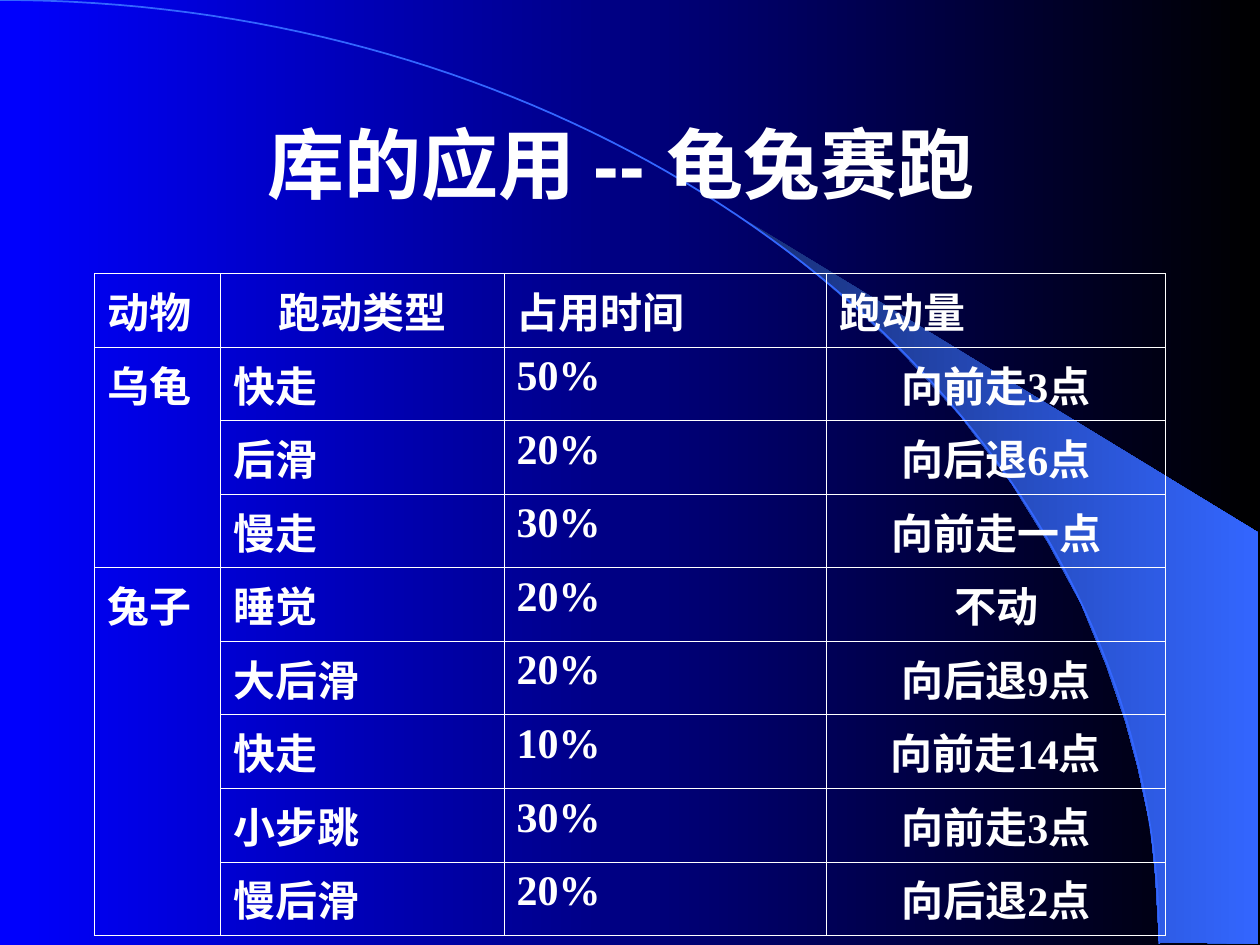
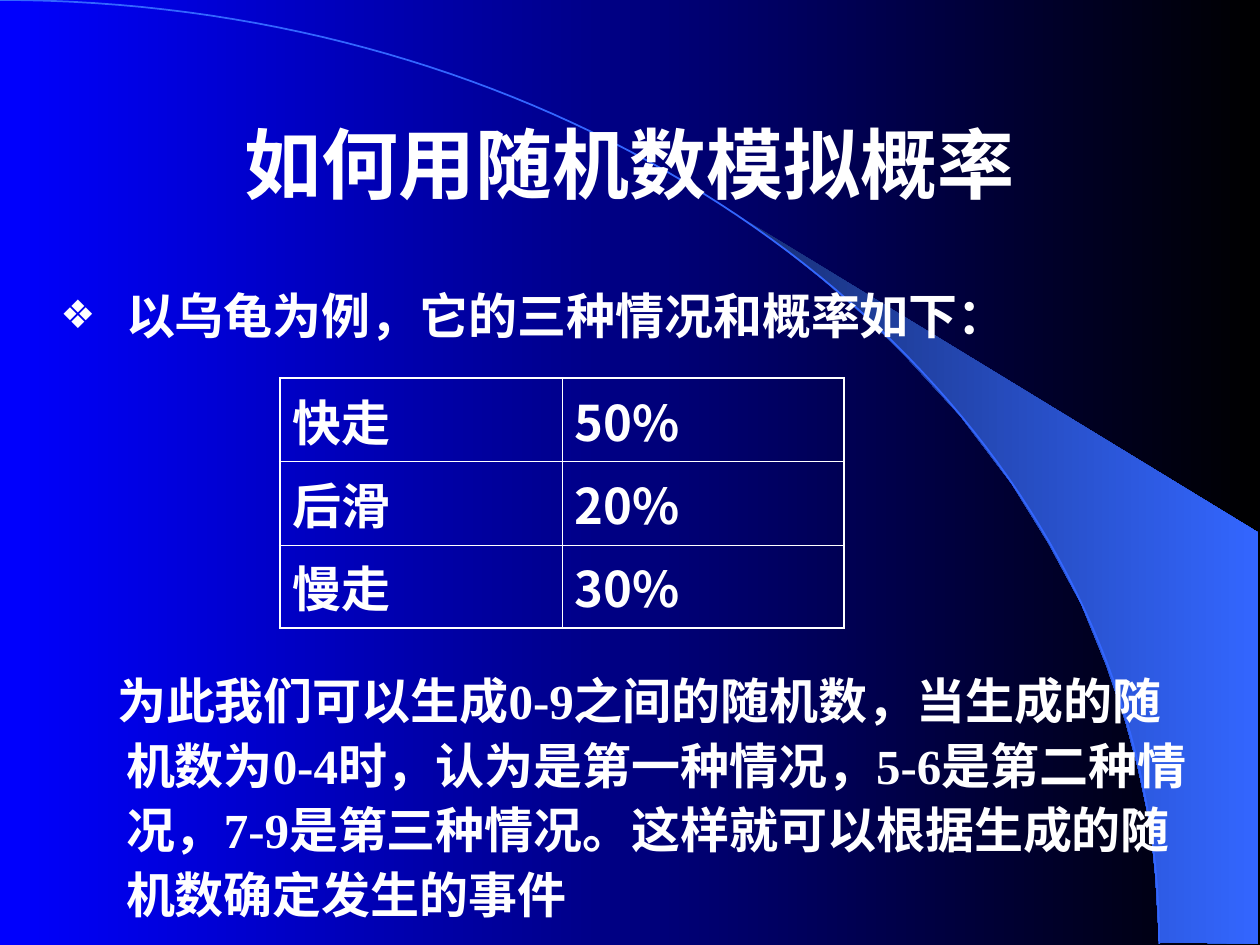
from lxml.etree import SubElement
from pptx import Presentation
from pptx.dml.color import RGBColor
from pptx.enum.text import MSO_ANCHOR, MSO_AUTO_SIZE, PP_ALIGN
from pptx.oxml import parse_xml
from pptx.oxml.ns import nsdecls, qn
from pptx.util import Pt

PX = 9144
WHITE, BLUE, NAVY = "FFFFFF", "3366FF", "182F76"
SKY, NIGHT = "0000FF", "000000"
LATIN, HEAD, ASIAN = "Times New Roman", "Arial", "Noto Sans CJK SC"
THIN, THICK = 0.45, 1.08

WING = [(920, 748), (999, 749), (999, 423), (589, 173), (624, 199),
        (653, 222), (685, 250), (716, 280), (762, 330), (803, 384),
        (832, 431), (858, 479), (878, 528), (893, 572), (903, 609),
        (913, 656), (917, 696), (920, 748)]
ARC = [(0, 0), (508, 0), (920, 335), (920, 749)]
STEPS = 80

RACE = "库的应用 -- 龟兔赛跑 "
HEADS = ("动物", "跑动类型", "占用时间", "跑动量")
MOVES = {
    "乌龟": [("快走", "50%", "向前走3点"),
           ("后滑", "20%", "向后退6点"),
           ("慢走", "30%", "向前走一点")],
    "兔子": [("睡觉", "20%", "不动"),
           ("大后滑", "20%", "向后退9点"),
           ("快走", "10%", "向前走14点"),
           ("小步跳", "30%", "向前走3点"),
           ("慢后滑", "20%", "向后退2点")],
}
ODDS = "如何用随机数模拟概率"
LEAD = "以乌龟为例，它的三种情况和概率如下："
PLAN = ("为此我们可以生成0-9之间的随机数，当生成的随机数为0-4时，"
        "认为是第一种情况，5-6是第二种情况，7-9是第三种情况。"
        "这样就可以根据生成的随机数确定发生的事件")


def tint(code):
    return RGBColor.from_string(code)


def shade(fill, first, last):
    fill.gradient()
    fill.gradient_angle = 0
    for stop, code, at in zip(fill.gradient_stops, (first, last), (0, 1)):
        stop.color.rgb = tint(code)
        stop.position = at


def style(para, size, latin):
    for run in para.runs:
        font = run.font
        font.size, font.bold, font.name = Pt(size), True, latin
        font.color.rgb = tint(WHITE)
        SubElement(font._element, qn("a:ea")).set("typeface", ASIAN)


def place(shape, left, top, width, height):
    shape.left, shape.top = left * PX, top * PX
    shape.width, shape.height = width * PX, height * PX


def trace(slide, dots, close):
    spots = [(round(x * PX), round(y * PX)) for x, y in dots]
    pen = slide.shapes.build_freeform(*spots[0], scale=1.0)
    pen.add_line_segments(spots[1:], close=close)
    shape = pen.convert_to_shape()
    shape.shadow.inherit = False
    return shape


def bend(t):
    parts = ((1 - t) ** 3, 3 * t * (1 - t) ** 2, 3 * t * t * (1 - t), t ** 3)
    return tuple(sum(k * p[axis] for k, p in zip(parts, ARC))
                 for axis in (0, 1))


def dress(master, slide):
    shade(master.background.fill, SKY, NIGHT)
    wing = trace(slide, WING, True)
    shade(wing.fill, NAVY, BLUE)
    wing.line.fill.background()
    arc = trace(slide, [bend(n / STEPS) for n in range(STEPS + 1)], False)
    arc.fill.background()
    arc.line.color.rgb = tint(BLUE)
    arc.line.width = Pt(1)
    for spot, shape in enumerate((wing, arc), 2):
        master.shapes.element.insert(spot, shape.element)


def head(slide, text):
    title = slide.shapes.title
    place(title, 75, 67, 850, 125)
    frame = title.text_frame
    frame.text = text
    frame.auto_size = MSO_AUTO_SIZE.NONE
    frame.vertical_anchor = MSO_ANCHOR.MIDDLE
    para = frame.paragraphs[0]
    para.alignment = PP_ALIGN.CENTER
    style(para, 44, HEAD)


def edge(cell, widths):
    props = cell._tc.get_or_add_tcPr()
    for spot, (side, width) in enumerate(zip("LRTB", widths)):
        props.insert(spot, parse_xml(
            f'<a:ln{side} {nsdecls("a")} w="{Pt(width)}"><a:solidFill>'
            f'<a:srgbClr val="{WHITE}"/></a:solidFill></a:ln{side}>'))


def grid(slide, rows, left, top, cols, tall, size, latin, rim):
    high, wide = len(rows), len(cols)
    table = slide.shapes.add_table(
        high, wide, left * PX, top * PX,
        sum(cols) * PX, high * tall * PX).table
    table.first_row = table.horz_banding = False
    for col, width in zip(table.columns, cols):
        col.width = width * PX
    for r, row in enumerate(rows):
        table.rows[r].height = tall * PX
        for c, text in enumerate(row):
            cell = table.cell(r, c)
            cell.text_frame.text = text
            style(cell.text_frame.paragraphs[0], size, latin)
            cell.fill.background()
            ends = (c == 0, c == wide - 1, r == 0, r == high - 1)
            edge(cell, [rim if end else THIN for end in ends])
    return table


def race(slide):
    head(slide, RACE)
    rows, spans = [HEADS], []
    for name, moves in MOVES.items():
        spans.append((len(rows), len(rows) + len(moves) - 1))
        rows += [("" if n else name, *move) for n, move in enumerate(moves)]
    table = grid(slide, rows, 75, 217, (100, 225, 256, 269), 56,
                 24, LATIN, THIN)
    for first, last in spans:
        table.cell(first, 0).merge(table.cell(last, 0))
    for r in range(len(rows)):
        cell = table.cell(r, 3 if r else 1)
        cell.text_frame.paragraphs[0].alignment = PP_ALIGN.CENTER


def odds(slide):
    head(slide, ODDS)
    body = slide.placeholders[1]
    place(body, 38, 217, 920, 533)
    frame = body.text_frame
    frame.text = LEAD
    frame.auto_size = MSO_AUTO_SIZE.NONE
    frame.add_paragraph().text = PLAN
    for para, gap, shift in zip(frame.paragraphs, (7, 183), (-52, -7)):
        para.line_spacing = 1.1
        para.space_before = Pt(gap)
        style(para, 28, LATIN)
        props = para._p.get_or_add_pPr()
        props.set("marL", str(52 * PX))
        props.set("indent", str(shift * PX))
    lead, plan = (p._p.get_or_add_pPr() for p in frame.paragraphs)
    color = SubElement(lead, qn("a:buClr"))
    SubElement(color, qn("a:srgbClr")).set("val", WHITE)
    SubElement(lead, qn("a:buSzPct")).set("val", "80000")
    SubElement(lead, qn("a:buChar")).set("char", "❖")
    SubElement(plan, qn("a:buNone"))
    rows = [move[:2] for move in MOVES["乌龟"]]
    grid(slide, rows, 222, 300, (224, 224), 61, 28, ASIAN, THICK)


def main():
    deck = Presentation()
    deck.slide_width, deck.slide_height = 1000 * PX, 750 * PX
    first = deck.slides.add_slide(deck.slide_layouts[5])
    dress(deck.slide_master, first)
    race(first)
    odds(deck.slides.add_slide(deck.slide_layouts[1]))
    deck.save("out.pptx")


if __name__ == "__main__":
    main()
